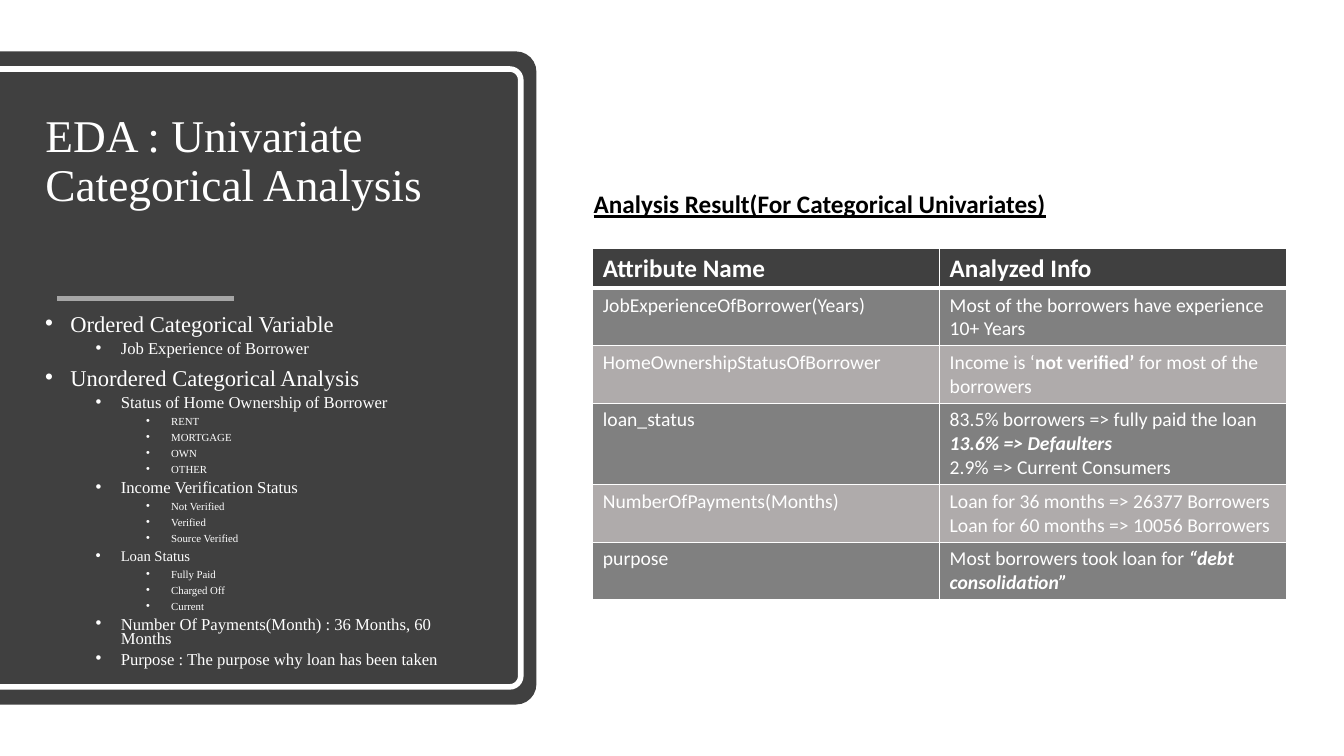
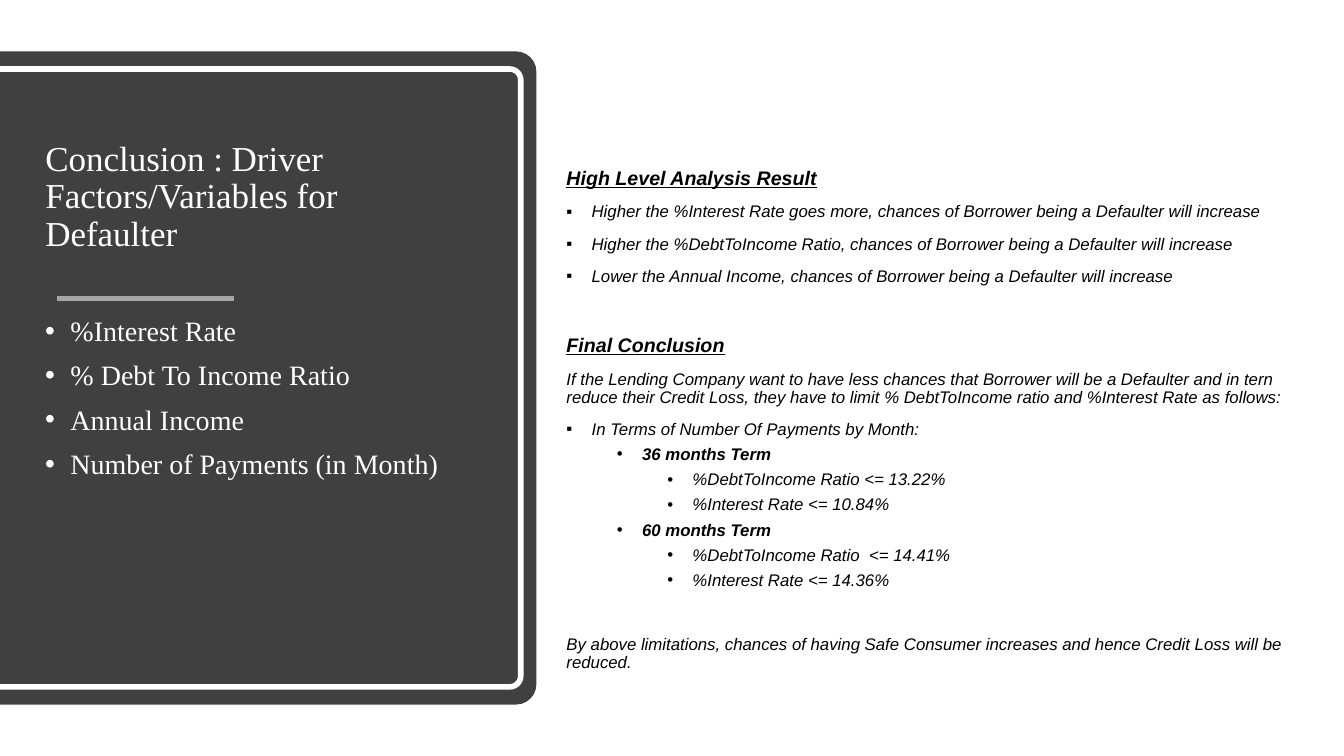
from dataclasses import dataclass

from lxml import etree
from pptx import Presentation
from pptx.dml.color import RGBColor
from pptx.enum.shapes import MSO_CONNECTOR, MSO_SHAPE
from pptx.enum.text import MSO_ANCHOR, MSO_AUTO_SIZE, PP_ALIGN
from pptx.oxml.ns import qn
from pptx.util import Inches, Pt

ROUND_TOP = MSO_SHAPE.ROUND_2_SAME_RECTANGLE
STRAIGHT = MSO_CONNECTOR.STRAIGHT
TOP, MIDDLE = MSO_ANCHOR.TOP, MSO_ANCHOR.MIDDLE
LEFT = PP_ALIGN.LEFT
NO_FIT = MSO_AUTO_SIZE.NONE
TITLE_ONLY = 5

COLORS = {
    "white": "FFFFFF",
    "black": "000000",
    "panel": "404040",
    "rule": "A6A6A6",
    "row_dark": "808080",
    "row_light": "AFABAB",
}
SERIF, SANS, TABLE_FONT = "Times New Roman", "Arial", "Calibri"


@dataclass(frozen=True)
class Style:
    font: str
    color: str
    spacing: float | None = None


@dataclass(frozen=True)
class Run:
    text: str
    bold: bool = False
    italic: bool = False
    underline: bool = False


@dataclass(frozen=True)
class Para:
    runs: tuple[Run, ...]
    size: float
    level: int = 0
    bullet: str = ""
    before: float = 0


@dataclass(frozen=True)
class Box:
    left: float
    top: float
    width: float
    height: float

    def emu(self) -> tuple:
        return tuple(Inches(v) for v in (self.left, self.top, self.width, self.height))


def rgb(name: str) -> RGBColor:
    return RGBColor.from_string(COLORS[name])


def bullet(text: str, size: float, level: int = 0, mark: str = "•",
           bold: bool = False, italic: bool = False) -> Para:
    return Para((Run(text, bold, italic),), size, level, mark, 5 if level else 10)


def heading(text: str) -> Para:
    return Para((Run(text, True, True, True),), 14, before=10)


def statement(text: str, before: float = 10) -> Para:
    return Para((Run(text, italic=True),), 12, before=before)


def set_bullet(p, para: Para) -> None:
    pPr = p._p.get_or_add_pPr()
    pPr.set("marL", str(Inches(0.25 + 0.5 * para.level)))
    pPr.set("indent", str(-Inches(0.25)))
    etree.SubElement(pPr, qn("a:buFont")).set("typeface", SANS)
    etree.SubElement(pPr, qn("a:buChar")).set("char", para.bullet)


def write(tf, paras: list[Para], style: Style) -> None:
    for i, para in enumerate(paras):
        p = tf.paragraphs[0] if i == 0 else tf.add_paragraph()
        p.alignment = LEFT
        p.level = para.level
        p.space_before = Pt(para.before)
        if style.spacing:
            p.line_spacing = style.spacing
        if para.bullet:
            set_bullet(p, para)
        for run in para.runs:
            r = p.add_run()
            r.text = run.text
            r.font.name = style.font
            r.font.size = Pt(para.size)
            r.font.bold = run.bold
            r.font.italic = run.italic
            r.font.underline = run.underline
            r.font.color.rgb = rgb(style.color)


def add_text(s, box: Box, paras: list[Para], style: Style) -> None:
    tf = s.shapes.add_textbox(*box.emu()).text_frame
    tf.word_wrap = True
    write(tf, paras, style)


def add_panel_shape(s, box: Box, radius: float):
    sp = s.shapes.add_shape(ROUND_TOP, *box.emu())
    sp.rotation = 90
    sp.adjustments[0] = radius
    sp.adjustments[1] = 0
    sp.shadow.inherit = False
    return sp


def add_slide(prs, title: str, size: float, height: float, anchor):
    s = prs.slides.add_slide(prs.slide_layouts[TITLE_ONLY])
    panel = add_panel_shape(s, Box(-0.58, 1.09, 6.48, 5.32), 0.038)
    panel.fill.solid()
    panel.fill.fore_color.rgb = rgb("panel")
    panel.line.fill.background()
    frame = add_panel_shape(s, Box(-0.5, 1.15, 6.13, 5.2), 0.021)
    frame.fill.background()
    frame.line.color.rgb = rgb("white")
    frame.line.width = Pt(4)

    rule = s.shapes.add_connector(STRAIGHT, Inches(0.57), Inches(2.96), Inches(2.32), Inches(2.96))
    rule.line.color.rgb = rgb("rule")
    rule.line.width = Pt(4)
    etree.SubElement(rule.element.spPr, qn("a:effectLst"))

    sp = s.shapes.title
    sp.left, sp.top, sp.width, sp.height = Box(0.35, 1.07, 4.48, height).emu()
    sp.element.getparent().append(sp.element)
    tf = sp.text_frame
    tf.word_wrap = True
    tf.auto_size = NO_FIT
    tf.vertical_anchor = anchor
    write(tf, [Para((Run(title),), size)], Style(SERIF, "white", 0.9))
    return s


def set_borders(cell, top: float, bottom: float) -> None:
    tcPr = cell._tc.get_or_add_tcPr()
    widths = {"a:lnL": 1, "a:lnR": 1, "a:lnT": top, "a:lnB": bottom}
    for i, (tag, width) in enumerate(widths.items()):
        ln = etree.Element(qn(tag), w=str(Pt(width)))
        fill = etree.SubElement(ln, qn("a:solidFill"))
        etree.SubElement(fill, qn("a:srgbClr")).set("val", COLORS["white"])
        tcPr.insert(i, ln)


def add_findings_table(s, box: Box, rows: list, heights: list[float]) -> None:
    table = s.shapes.add_table(len(rows), 2, *box.emu()).table
    style = Style(TABLE_FONT, "white")
    for i, (row, height) in enumerate(zip(rows, heights)):
        table.rows[i].height = Inches(height)
        color = "panel" if i == 0 else ("row_dark" if i % 2 else "row_light")
        for j, lines in enumerate(row):
            cell = table.cell(i, j)
            cell.fill.solid()
            cell.fill.fore_color.rgb = rgb(color)
            set_borders(cell, 3 if i == 1 else 1, 3 if i == 0 else 1)
            size = 14 if i else 18
            write(cell.text_frame, [Para(runs, size) for runs in lines], style)


def line(text: str, bold: bool = False) -> tuple[Run, ...]:
    return (Run(text, bold),)


def build_univariate(prs) -> None:
    s = add_slide(prs, "EDA : Univariate Categorical Analysis", 32.4, 1.5, TOP)
    outline = [
        (0, 16.1, ["Ordered Categorical Variable"]),
        (1, 11.9, ["Job Experience of Borrower"]),
        (0, 16.1, ["Unordered Categorical Analysis"]),
        (1, 11.9, ["Status of Home Ownership of Borrower"]),
        (2, 7.7, ["RENT", "MORTGAGE", "OWN", "OTHER"]),
        (1, 11.9, ["Income Verification Status"]),
        (2, 7.7, ["Not Verified", "Verified", "Source Verified"]),
        (1, 10.5, ["Loan Status"]),
        (2, 7.7, ["Fully Paid", "Charged Off", "Current"]),
        (1, 11.9, ["Number Of Payments(Month) : 36 Months, 60 Months",
                   "Purpose : The purpose why loan has been taken"]),
    ]
    paras = [bullet(text, size, level) for level, size, texts in outline for text in texts]
    add_text(s, Box(0.35, 3.1, 4.48, 3.72), paras, Style(SERIF, "white", 0.7))

    findings = [
        ([line("Attribute Name", True)], [line("Analyzed Info", True)]),
        ([line("JobExperienceOfBorrower(Years)")],
         [line("Most of the borrowers have experience 10+ Years")]),
        ([line("HomeOwnershipStatusOfBorrower")],
         [(Run("Income is ‘"), Run("not verified’", True), Run(" for most of the borrowers"))]),
        ([line("loan_status")],
         [(Run("83.5% borrowers => fully paid the loan "), Run("13.6% => Defaulters", True, True)),
          line("2.9% => Current Consumers")]),
        ([line("NumberOfPayments(Months)")],
         [line("Loan for 36 months => 26377 Borrowers"),
          line("Loan for 60 months => 10056 Borrowers")]),
        ([line("purpose")],
         [(Run("Most borrowers took loan for"), Run(" “debt consolidation”", True, True))]),
    ]
    add_findings_table(s, Box(5.88, 2.46, 6.88, 3.47), findings,
                       [0.4, 0.57, 0.57, 0.81, 0.57, 0.57])
    caption = Run("Analysis Result(For Categorical Univariates)", bold=True, underline=True)
    add_text(s, Box(5.79, 1.82, 4.8, 0.4), [Para((caption,), 18)], Style(TABLE_FONT, "black"))


def build_conclusion(prs) -> None:
    s = add_slide(prs, "Conclusion : Driver Factors/Variables for Defaulter", 25, 1.78, MIDDLE)
    drivers = ["%Interest Rate", "% Debt To Income Ratio", "Annual Income",
               "Number of Payments (in Month)"]
    add_text(s, Box(0.35, 3.1, 4.48, 3.33), [bullet(d, 20) for d in drivers],
             Style(SERIF, "white", 0.9))

    body = Style(SANS, "black", 0.9)
    causes = ["Higher the %Interest Rate goes more", "Higher the %DebtToIncome Ratio",
              "Lower the Annual Income"]
    effect = ", chances of Borrower being a Defaulter will increase"
    results = [bullet(cause + effect, 12, mark="▪", italic=True) for cause in causes]
    add_text(s, Box(5.52, 1.62, 7.46, 1.34), [heading("High Level Analysis Result")] + results, body)

    limits = [
        ("36 months Term", ["%DebtToIncome Ratio <= 13.22%", "%Interest Rate <= 10.84%"]),
        ("60 months Term", ["%DebtToIncome Ratio  <= 14.41%", "%Interest Rate <= 14.36%"]),
    ]
    paras = [
        heading("Final Conclusion"),
        statement("If the Lending Company want to have less chances that Borrower will be a "
                  "Defaulter and in tern reduce their Credit Loss, they have to limit "
                  "% DebtToIncome ratio and %Interest Rate as follows:"),
        bullet("In Terms of Number Of Payments by Month:", 12, mark="▪", italic=True),
    ]
    for term, rates in limits:
        paras.append(bullet(term, 12, 1, bold=True, italic=True))
        paras += [bullet(rate, 12, 2, italic=True) for rate in rates]
    paras.append(statement("By above limitations, chances of having Safe Consumer increases "
                           "and hence Credit Loss will be reduced.", 33))
    add_text(s, Box(5.52, 3.28, 7.46, 3.36), paras, body)


def main() -> None:
    prs = Presentation()
    prs.slide_width, prs.slide_height = Inches(13.33), Inches(7.5)
    build_univariate(prs)
    build_conclusion(prs)
    prs.save("out.pptx")


if __name__ == "__main__":
    main()
